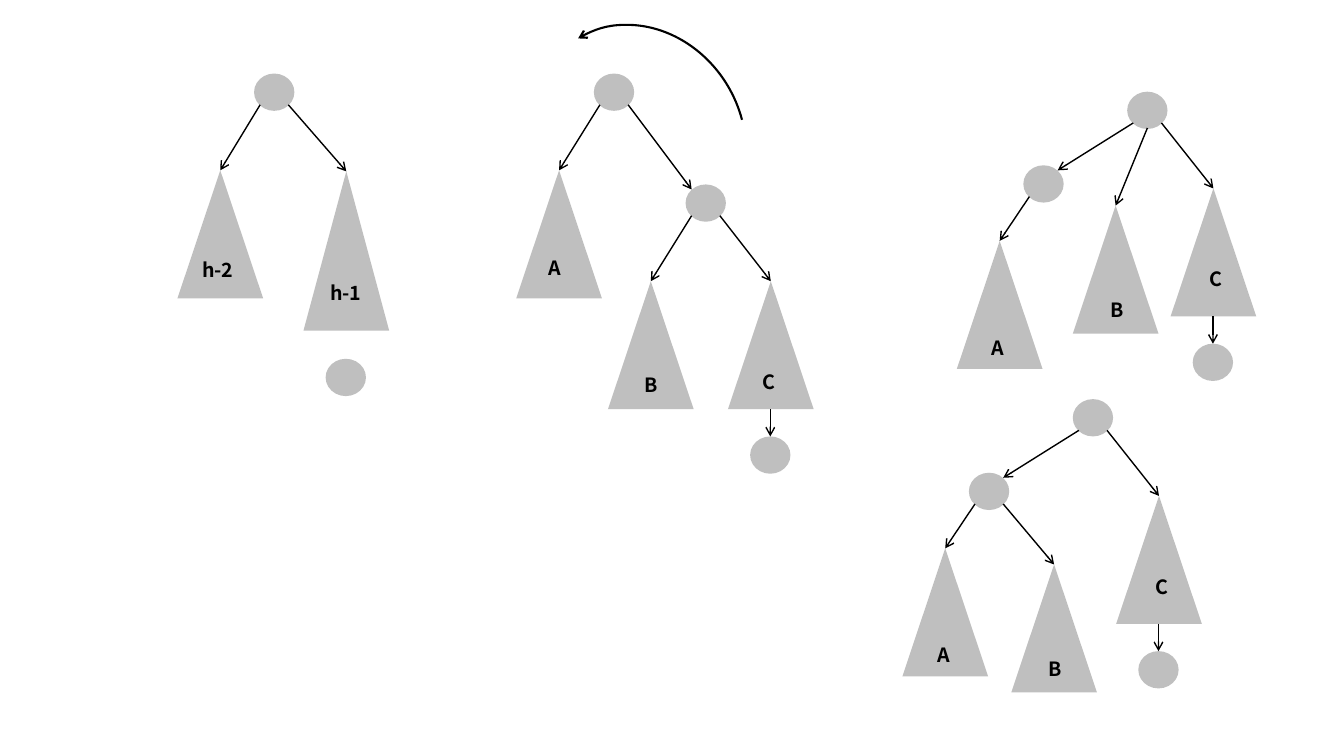
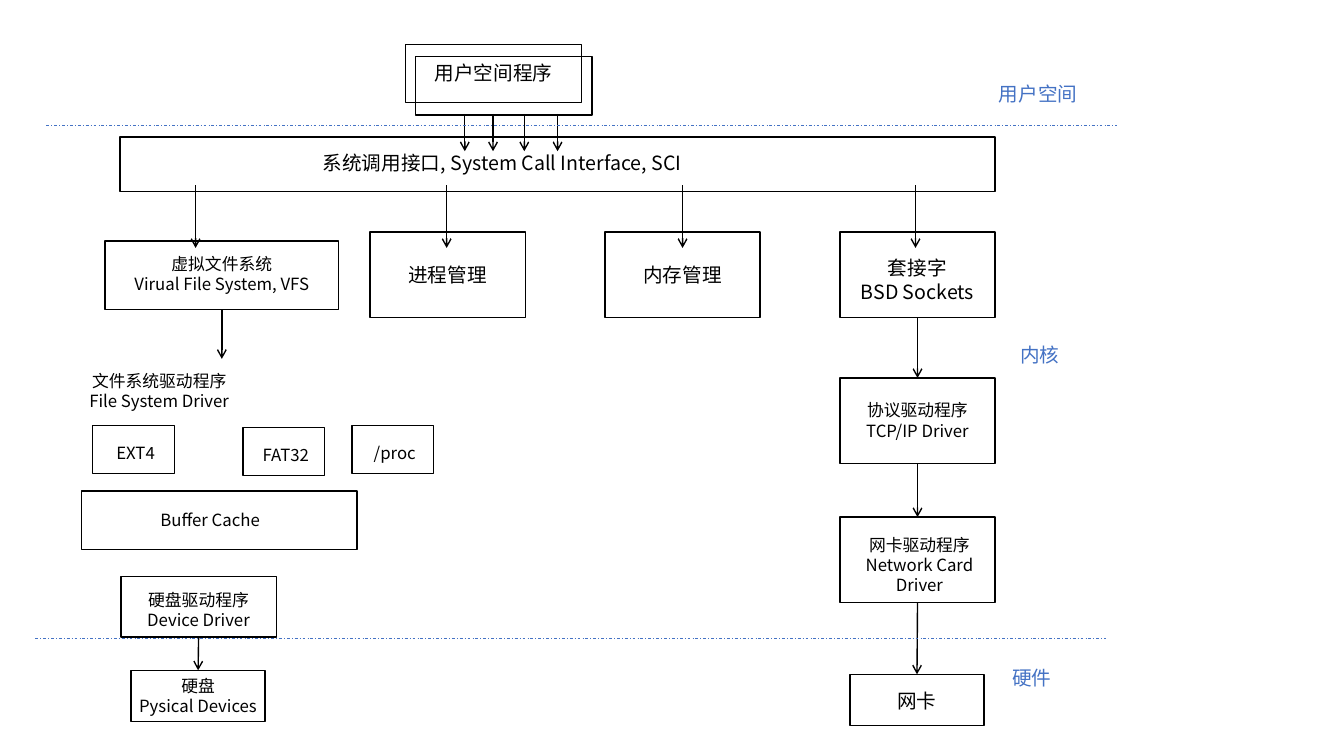
from lxml.etree import SubElement
from pptx import Presentation
from pptx.dml.color import RGBColor
from pptx.enum.dml import MSO_LINE
from pptx.enum.shapes import MSO_CONNECTOR, MSO_SHAPE
from pptx.enum.text import MSO_ANCHOR, MSO_AUTO_SIZE, PP_ALIGN
from pptx.oxml.ns import qn
from pptx.util import Pt

EMU_PER_PX = 9144
TOP, BOTTOM = 0, 2


def px(length):
    return length * EMU_PER_PX


def color(hex_string):
    return RGBColor.from_string(hex_string)


class Diagram:
    FONT = "Noto Sans CJK SC"
    INK = "000000"
    ACCENT = "4472C4"
    NODE = "BFBFBF"

    def __init__(self, width, height):
        self.deck = Presentation()
        self.deck.slide_width = px(width)
        self.deck.slide_height = px(height)
        self.page = None

    def new_page(self):
        self.page = self.deck.slides.add_slide(self.deck.slide_layouts[6])

    def stroke(self, line, hex_string, points):
        line.color.rgb = color(hex_string)
        line.width = Pt(points)

    def shape(self, kind, left, top, width, height, fill=None):
        shape = self.page.shapes.add_shape(kind, px(left), px(top), px(width), px(height))
        shape.shadow.inherit = False
        if fill:
            shape.fill.solid()
            shape.fill.fore_color.rgb = color(fill)
            shape.line.fill.background()
        else:
            shape.fill.background()
            self.stroke(shape.line, self.INK, 1)
        return shape

    def set_lines(self, frame, lines, size, hex_string, align, bold=False):
        frame.word_wrap = True
        for index, line in enumerate(lines):
            para = frame.add_paragraph() if index else frame.paragraphs[0]
            para.text = line
            para.alignment = align
            para.font.size = Pt(size)
            para.font.bold = bold
            para.font.color.rgb = color(hex_string)
            para.font.name = self.FONT
            defaults = para._p.find(qn("a:pPr")).find(qn("a:defRPr"))
            SubElement(defaults, qn("a:ea"), typeface=self.FONT)

    def text(self, left, top, width, height, lines, size=14, hex_string=INK,
             align=PP_ALIGN.CENTER, bold=False):
        box = self.page.shapes.add_textbox(px(left), px(top), px(width), px(height))
        self.set_lines(box.text_frame, lines, size, hex_string, align, bold)
        box.text_frame.auto_size = MSO_AUTO_SIZE.SHAPE_TO_FIT_TEXT

    def box(self, left, top, width, height, lines=(), size=12, text_top=0, shift=0):
        box = self.shape(MSO_SHAPE.RECTANGLE, left, top, width, height)
        frame = box.text_frame
        frame.vertical_anchor = MSO_ANCHOR.TOP
        frame.margin_top, frame.margin_bottom = px(text_top), 0
        frame.margin_left = px(5 + max(2 * shift, 0))
        frame.margin_right = px(5 + max(-2 * shift, 0))
        self.set_lines(frame, lines, size, self.INK, PP_ALIGN.CENTER)
        return box

    def line(self, begin, end, hex_string=INK, points=1, dash=None, arrow=True):
        line = self.page.shapes.add_connector(
            MSO_CONNECTOR.STRAIGHT, *map(px, begin), *map(px, end))
        self.stroke(line.line, hex_string, points)
        if dash:
            line.line.dash_style = dash
        if arrow:
            SubElement(line.line._get_or_add_ln(), qn("a:tailEnd"), type="arrow")
        SubElement(line._element.spPr, qn("a:effectLst"))
        return line

    def join(self, upper, lower):
        line = self.line((0, 0), (0, 0))
        line.begin_connect(upper, BOTTOM)
        line.end_connect(lower, TOP)

    def node(self, left, top):
        return self.shape(MSO_SHAPE.OVAL, left, top, 40, 37, self.NODE)

    def subtree(self, left, top, label, label_left, label_top, height=127):
        triangle = self.shape(MSO_SHAPE.ISOSCELES_TRIANGLE, left, top, 85, height, self.NODE)
        self.text(label_left, label_top, 66, 34, [label], bold=True)
        return triangle

    def beside(self, shape, across, down):
        center_x = (shape.left + shape.width // 2) // EMU_PER_PX
        center_y = (shape.top + shape.height // 2) // EMU_PER_PX
        return center_x + across, center_y + down

    def branch(self, parent, child, side):
        begin = self.beside(parent, side * 14, 13 if side else 18)
        line = self.line(begin, self.beside(child, -side * 14, -13))
        if child.auto_shape_type == MSO_SHAPE.ISOSCELES_TRIANGLE:
            line.end_connect(child, TOP)

    def hang_node(self, triangle):
        left, top = triangle.left // EMU_PER_PX, triangle.top // EMU_PER_PX
        leaf = self.node(left + 22, top + 154)
        self.line((left + 42, top + 127), (left + 42, top + 154)).end_connect(leaf, TOP)

    def turn(self, left, top, width, height, rotation, start, end):
        arc = self.shape(MSO_SHAPE.ARC, left, top, width, height)
        arc.adjustments[0], arc.adjustments[1] = start, end
        arc.rotation = rotation
        self.stroke(arc.line, self.INK, 1.5)
        SubElement(arc.line._get_or_add_ln(), qn("a:headEnd"), type="arrow")


def rotated_tree(diagram, left, top):
    root = diagram.node(left + 169, top)
    child = diagram.node(left + 66, top + 73)
    first = diagram.subtree(left, top + 148, "A", left + 8, top + 237)
    last = diagram.subtree(left + 212, top + 96, "C", left + 224, top + 169)
    diagram.branch(root, child, -1)
    diagram.branch(child, first, -1)
    diagram.branch(root, last, 1)
    diagram.hang_node(last)
    return root, child


def build_rotation(diagram):
    diagram.new_page()
    root = diagram.node(252, 73)
    diagram.branch(root, diagram.subtree(176, 169, "h-2", 183, 251), -1)
    diagram.branch(root, diagram.subtree(301, 170, "h-1", 310, 274, 158), 1)
    diagram.node(323, 356)

    root = diagram.node(589, 73)
    child = diagram.node(680, 183)
    last = diagram.subtree(722, 279, "C", 730, 362)
    diagram.branch(root, diagram.subtree(512, 169, "A", 517, 249), -1)
    diagram.branch(root, child, 1)
    diagram.branch(child, diagram.subtree(603, 279, "B", 613, 365), -1)
    diagram.branch(child, last, 1)
    diagram.hang_node(last)
    diagram.turn(532, 21, 204, 232, 328.5, 162, 12.85)

    root, child = rotated_tree(diagram, 949, 91)
    diagram.branch(root, diagram.subtree(1064, 204, "B", 1075, 291), 0)
    root, child = rotated_tree(diagram, 895, 396)
    diagram.branch(child, diagram.subtree(1003, 560, "B", 1014, 647), 1)


def build_kernel(diagram):
    diagram.new_page()
    diagram.box(412, 56, 175, 58, ["用户空间程序"], 14, 5, -10)
    diagram.box(402, 44, 175, 58)
    diagram.box(119, 136, 868, 54, ["系统调用接口, System Call Interface, SCI"], 14, 14, -55)

    managers = [
        (["进程管理"], 31),
        (["内存管理"], 31),
        (["套接字", "BSD Sockets"], 24),
    ]
    for index, (lines, text_top) in enumerate(managers):
        sockets = diagram.box(367 + 233 * index, 230, 154, 85, lines, 14, text_top)

    protocol = diagram.box(833, 375, 154, 85, ["协议驱动程序", "TCP/IP Driver"], 12, 22)
    card_driver = diagram.box(833, 513, 154, 85, ["网卡驱动程序", "Network Card Driver"], 12, 17, 2)
    card = diagram.box(843, 669, 133, 51, ["网卡"], 14, 14)
    file_system = diagram.box(104, 239, 232, 68, ["虚拟文件系统", "Virual File System, VFS"], 12, 13)
    disk_driver = diagram.box(120, 572, 154, 60, ["硬盘驱动程序", "Device Driver"], 12, 13)
    disk = diagram.box(130, 665, 133, 51, ["硬盘", "Pysical Devices"], 12, 5)

    diagram.text(60, 363, 196, 58, ["文件系统驱动程序", "File System Driver"], 12)
    for left, top, name in [(92, 422, "EXT4"), (241, 424, "FAT32"), (349, 422, "/proc")]:
        diagram.box(left, top, 81, 48, [name], 12, 17, 2)
    diagram.box(81, 487, 273, 58, ["Buffer Cache"], 12, 19, -9)

    for x in (461, 489, 520, 553):
        diagram.line((x, 113), (x, 150))
    for x in (194, 443, 677, 908):
        diagram.line((x, 184), (x, 246))
    diagram.line((220, 307), (220, 356)).begin_connect(file_system, BOTTOM)
    for upper, lower in [(sockets, protocol), (protocol, card_driver),
                         (card_driver, card), (disk_driver, disk)]:
        diagram.join(upper, lower)

    for left, y in [(46, 124), (35, 633)]:
        diagram.line((left, y), (left + 1062, y), diagram.ACCENT, 0.5,
                     MSO_LINE.DASH_DOT, arrow=False)
    for left, top, name in [(981, 76, "用户空间"), (1002, 335, "内核"), (994, 656, "硬件")]:
        diagram.text(left, top, 144, 34, [name], 14, diagram.ACCENT, PP_ALIGN.LEFT)


def main():
    diagram = Diagram(1333, 750)
    build_rotation(diagram)
    build_kernel(diagram)
    diagram.deck.save("out.pptx")


if __name__ == "__main__":
    main()
